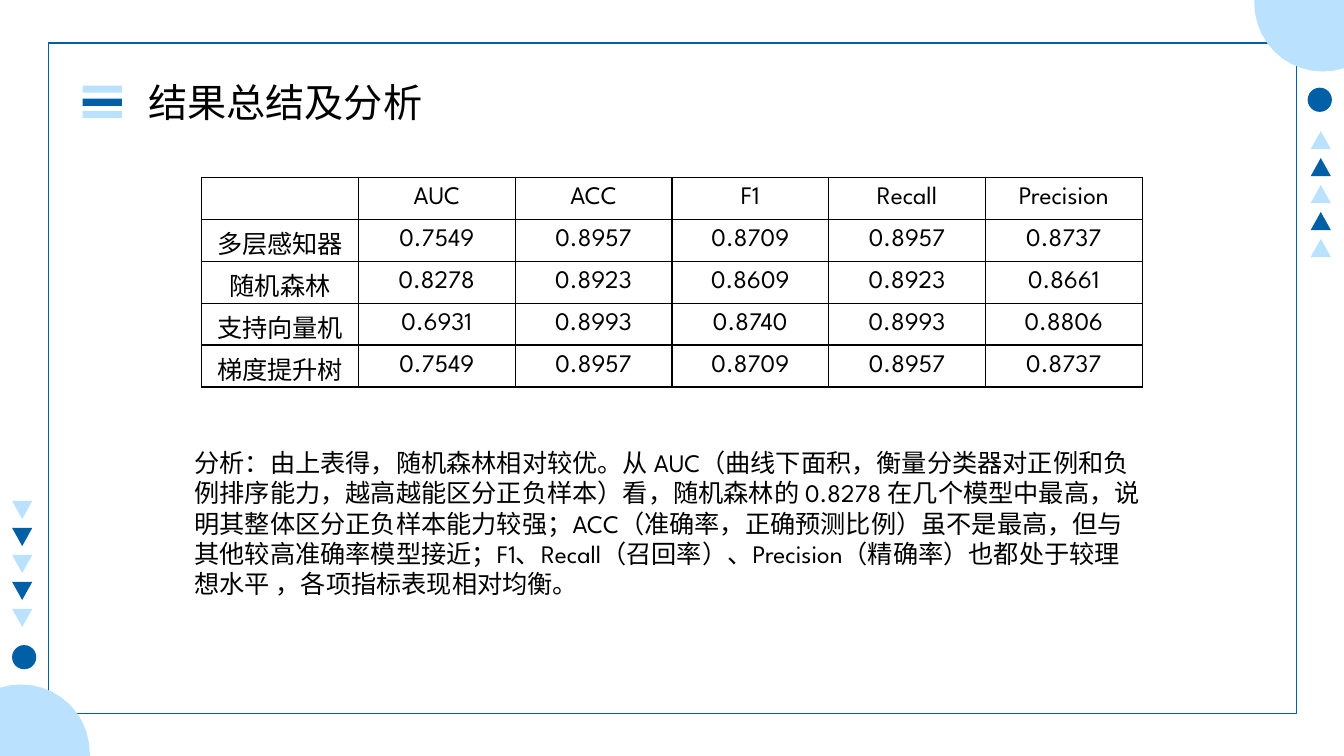
import math
import pptx
import pptx.util
import pptx.dml.color
import pptx.enum.shapes
import pptx.enum.text
import pptx.oxml
import pptx.oxml.ns
from pptx.util import Inches

COLORS = {"dark": "005FA5", "light": "BAE2FF", "text": "000000"}
WIDTH, HEIGHT = 13.33, 7.5
SHAPES = pptx.enum.shapes.MSO_SHAPE
ANCHORS = pptx.enum.text.MSO_ANCHOR
ALIGNMENTS = pptx.enum.text.PP_ALIGN


def write_text(frame, text, size=18, align=ALIGNMENTS.LEFT):
    paragraph = frame.paragraphs[0]
    paragraph.alignment = align
    run = paragraph.add_run()
    run.text = text
    run.font.size = pptx.util.Pt(size)
    run.font.name = "League Spartan"
    run.font.color.rgb = pptx.dml.color.RGBColor.from_string(COLORS["text"])


def paint(shape, color):
    shape.shadow.inherit = False
    shape.fill.solid()
    shape.fill.fore_color.rgb = pptx.dml.color.RGBColor.from_string(COLORS[color])
    shape.line.fill.background()


presentation = pptx.Presentation()
presentation.slide_width = Inches(WIDTH)
presentation.slide_height = Inches(HEIGHT)
slide = presentation.slides.add_slide(presentation.slide_layouts[5])
shapes = slide.shapes

frame = shapes.add_shape(SHAPES.RECTANGLE, Inches(0.48), Inches(0.43), Inches(12.38), Inches(6.65))
frame.shadow.inherit = False
frame.fill.background()
frame.line.color.rgb = pptx.dml.color.RGBColor.from_string(COLORS["dark"])
frame.line.width = pptx.util.Pt(1.25)

corner = [(12.44, 0), (WIDTH, 0)]
for degree in range(72, 181, 9):
    angle = math.radians(degree)
    corner.append((13.12 + 0.68 * math.cos(angle), 0.03 + 0.68 * math.sin(angle)))
opposite_corner = [(WIDTH - x, HEIGHT - y) for x, y in corner]

for outline in (corner, opposite_corner):
    points = [(Inches(x), Inches(y)) for x, y in outline]
    builder = shapes.build_freeform(*points[0])
    builder.add_line_segments(points[1:], close=True)
    paint(builder.convert_to_shape(), "light")

for left, top, rotation in ((13, 1.3, 0), (0.12, 4.97, 180)):
    for index in range(5):
        triangle = shapes.add_shape(
            SHAPES.ISOSCELES_TRIANGLE,
            Inches(left), Inches(top + index * 1.07 / 4), Inches(0.2), Inches(0.18))
        triangle.rotation = rotation
        paint(triangle, "dark" if index % 2 else "light")

for left, top in ((12.97, 0.87), (0.12, 6.4)):
    dot = shapes.add_shape(SHAPES.OVAL, Inches(left), Inches(top), Inches(0.24), Inches(0.24))
    paint(dot, "dark")

for top, color in ((0.85, "light"), (0.98, "dark"), (1.1, "light")):
    bar = shapes.add_shape(SHAPES.RECTANGLE, Inches(0.82), Inches(top), Inches(0.39), Inches(0.07))
    paint(bar, color)

title = shapes.title
title.left, title.top = Inches(1.47), Inches(0.78)
title.width, title.height = Inches(3.6), Inches(0.47)
title_frame = title.text_frame
title_frame.margin_left = title_frame.margin_right = 0
title_frame.margin_top = title_frame.margin_bottom = 0
title_frame.auto_size = pptx.enum.text.MSO_AUTO_SIZE.NONE
title_frame.vertical_anchor = ANCHORS.TOP
write_text(title_frame, "结果总结及分析", size=28)

results = [
    ("", "AUC", "ACC", "F1", "Recall", "Precision"),
    ("多层感知器", "0.7549", "0.8957", "0.8709", "0.8957", "0.8737"),
    ("随机森林", "0.8278", "0.8923", "0.8609", "0.8923", "0.8661"),
    ("支持向量机", "0.6931", "0.8993", "0.8740", "0.8993", "0.8806"),
    ("梯度提升树", "0.7549", "0.8957", "0.8709", "0.8957", "0.8737"),
]
table = shapes.add_table(
    len(results), len(results[0]), Inches(2), Inches(1.76), Inches(9.33), Inches(2.08)).table
table.first_row = False
table.horz_banding = False
for row_index, values in enumerate(results):
    for column_index, value in enumerate(values):
        cell = table.cell(row_index, column_index)
        properties = cell._tc.get_or_add_tcPr()
        for side in ("lnL", "lnR", "lnT", "lnB"):
            properties.append(pptx.oxml.parse_xml(
                f'<a:{side} {pptx.oxml.ns.nsdecls("a")} w="12700"><a:solidFill>'
                f'<a:srgbClr val="{COLORS["text"]}"/></a:solidFill></a:{side}>'))
        cell.fill.background()
        cell.vertical_anchor = ANCHORS.MIDDLE
        if column_index == 0:
            cell.margin_bottom = 0
        if value:
            write_text(cell.text_frame, value, align=ALIGNMENTS.CENTER)

analysis = shapes.add_textbox(Inches(1.83), Inches(4.39), Inches(9.59), Inches(2.16))
analysis.text_frame.word_wrap = True
write_text(
    analysis.text_frame,
    "分析：由上表得，随机森林相对较优。从 AUC（曲线下面积，衡量分类器对正例和负例排序能力，"
    "越高越能区分正负样本）看，随机森林的 0.8278 在几个模型中最高，说明其整体区分正负样本能力较强；"
    "ACC（准确率，正确预测比例）虽不是最高，但与其他较高准确率模型接近；"
    "F1、Recall（召回率）、Precision（精确率）也都处于较理想水平 ，各项指标表现相对均衡。")

presentation.save("out.pptx")
